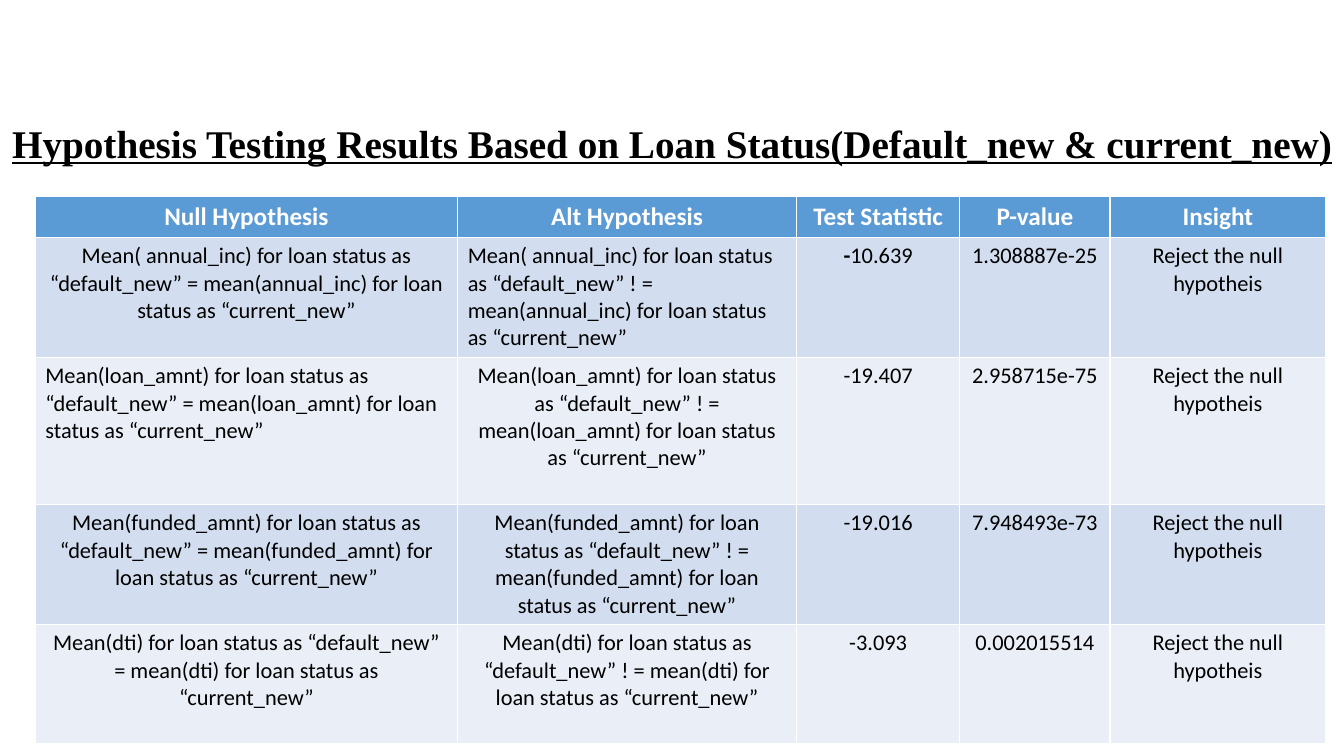
from dataclasses import dataclass

from pptx import Presentation
from pptx.dml.color import RGBColor
from pptx.enum.text import MSO_ANCHOR, PP_ALIGN
from pptx.util import Inches, Pt

BLACK = RGBColor(0x00, 0x00, 0x00)
WHITE = RGBColor(0xFF, 0xFF, 0xFF)
BLUE = RGBColor(0x5B, 0x9B, 0xD5)
BANDS = (RGBColor(0xD2, 0xDE, 0xEF), RGBColor(0xEA, 0xEF, 0xF7))

HEADS = ("Null Hypothesis", "Alt Hypothesis", "Test Statistic", "P-value", "Insight")
WIDTHS = (4.19, 3.36, 1.62, 1.49, 2.14)
HEAD_HEIGHT = 0.4


@dataclass
class Test:
    """One hypothesis test; left is the column aligned left, if any."""
    field: str
    stat: str
    p_value: str
    height: float
    left: int | None = None
    bold_sign: bool = False

    def claim(self, sign: str) -> str:
        """Word the comparison of the two loan groups."""
        return (f"Mean({self.field}) for loan status as “default_new” {sign} "
                f"mean({self.field.strip()}) for loan status as “current_new”")

    def texts(self) -> tuple[str, ...]:
        """Return the texts of the table row."""
        return (self.claim("="), self.claim("! ="), self.stat, self.p_value,
                "Reject the null hypotheis")


TESTS = (
    Test(" annual_inc", "-10.639", "1.308887e-25", 1.19, left=1, bold_sign=True),
    Test("loan_amnt", "-19.407", "2.958715e-75", 1.46, left=0),
    Test("funded_amnt", "-19.016", "7.948493e-73", 1.19),
    Test("dti", "-3.093", "0.002015514", 1.18),
)


def fill_cell(cell, text: str, fill: RGBColor, size: int, color: RGBColor,
              bold: bool = False, align: PP_ALIGN = PP_ALIGN.CENTER) -> None:
    """Write and format one table cell."""
    cell.fill.solid()
    cell.fill.fore_color.rgb = fill
    cell.text = text
    para = cell.text_frame.paragraphs[0]
    para.alignment = align
    para.font.name = "Calibri"
    para.font.size = Pt(size)
    para.font.bold = bold
    para.font.color.rgb = color


def set_title(slide, text: str) -> None:
    """Place and format the slide title."""
    title = slide.shapes.title
    title.left, title.top = Inches(0), Inches(0.98)
    title.width, title.height = Inches(13.33), Inches(0.94)
    frame = title.text_frame
    frame.text = text
    frame.margin_left = frame.margin_right = 0
    frame.vertical_anchor = MSO_ANCHOR.MIDDLE
    para = frame.paragraphs[0]
    para.alignment = PP_ALIGN.CENTER
    para.line_spacing = 0.9
    para.font.name = "Times New Roman"
    para.font.size = Pt(28)
    para.font.bold = para.font.underline = True
    para.font.color.rgb = BLACK


def add_results(slide) -> None:
    """Add the table of test results."""
    heights = (HEAD_HEIGHT, *(test.height for test in TESTS))
    table = slide.shapes.add_table(
        len(heights), len(WIDTHS), Inches(0.35), Inches(1.95),
        Inches(sum(WIDTHS)), Inches(sum(heights))).table
    for col, width in zip(table.columns, WIDTHS):
        col.width = Inches(width)
    for row, height in zip(table.rows, heights):
        row.height = Inches(height)
    for col, head in enumerate(HEADS):
        fill_cell(table.cell(0, col), head, BLUE, 18, WHITE, bold=True)
    for row, test in enumerate(TESTS, 1):
        band = BANDS[(row - 1) % 2]
        for col, text in enumerate(test.texts()):
            align = PP_ALIGN.LEFT if col == test.left else PP_ALIGN.CENTER
            fill_cell(table.cell(row, col), text, band, 16, BLACK, align=align)
        if test.bold_sign:
            para = table.cell(row, HEADS.index("Test Statistic")).text_frame.paragraphs[0]
            sign = para.runs[0]
            sign.text, sign.font.bold = test.stat[0], True
            para.add_run().text = test.stat[1:]
            rest = para.runs[1].font
            rest.bold = False


deck = Presentation()
deck.slide_width, deck.slide_height = Inches(13.33), Inches(7.5)
slide = deck.slides.add_slide(deck.slide_layouts[5])
add_results(slide)
set_title(slide, "Hypothesis Testing Results Based on Loan Status(Default_new & current_new)")
deck.save("out.pptx")
